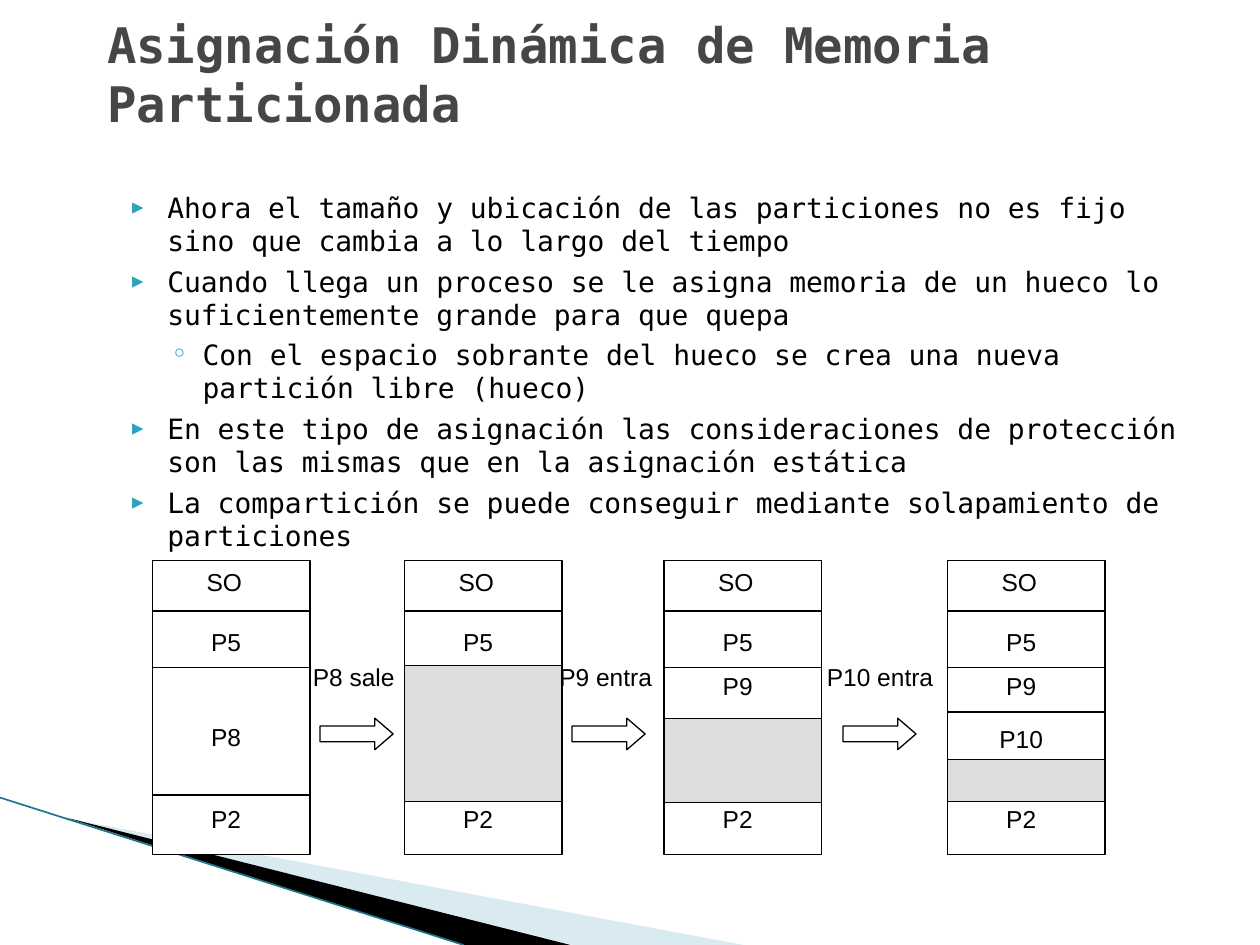
"""Build a slide on dynamic partitioned memory allocation."""
from dataclasses import dataclass
from typing import Any

from lxml.etree import SubElement as Sub
from pptx import Presentation
from pptx.dml.color import RGBColor
from pptx.enum.shapes import MSO_CONNECTOR as Link, MSO_SHAPE as Kind
from pptx.enum.text import MSO_ANCHOR as Anchor, MSO_AUTO_SIZE as Fit, PP_ALIGN as Align
from pptx.oxml.ns import qn
from pptx.util import Inches, Pt

BLACK = RGBColor(0x00, 0x00, 0x00)
WHITE = RGBColor(0xFF, 0xFF, 0xFF)
GREY = RGBColor(0xDD, 0xDD, 0xDD)
DARK = RGBColor(0x46, 0x46, 0x46)
TEAL = RGBColor(0x2D, 0xA2, 0xBF)
DEEP = RGBColor(0x1F, 0x76, 0x8C)
PALE = RGBColor(0xA0, 0xCB, 0xDC)
MONO, SANS = "DejaVu Sans Mono", "Arial"
TOP, WIDE, HIGH = 4.45, 1.25, 2.33


@dataclass
class Point:
    text: str
    level: int = 0


@dataclass
class Bullet:
    char: str
    left: float
    hang: float
    size: int
    before: float


@dataclass
class Memory:
    left: float
    cuts: list[float]
    jobs: dict[str, float]
    hole: tuple[float, float] | None = None


@dataclass
class Step:
    left: float
    text: str


BULLETS = [Bullet("▶", 0.4, 0.28, 68, 4), Bullet("◦", 0.68, 0.25, 100, 3.2)]
POINTS = [
    Point("Ahora el tamaño y ubicación de las particiones no es fijo sino que cambia a lo largo del tiempo"),
    Point("Cuando llega un proceso se le asigna memoria de un hueco lo suficientemente grande para que quepa"),
    Point("Con el espacio sobrante del hueco se crea una nueva partición libre (hueco)", 1),
    Point("En este tipo de asignación las consideraciones de protección son las mismas que en la asignación estática"),
    Point("La compartición se puede conseguir mediante solapamiento de particiones"),
]
BASE = {"P5": 4.93, "P2": 6.33}
STATES = [
    Memory(1.21, [4.85, 5.3, 6.31], BASE | {"P8": 5.68}),
    Memory(3.21, [4.85], BASE, (5.28, 1.08)),
    Memory(5.27, [4.85, 5.3], BASE | {"P9": 5.28}, (5.7, 0.67)),
    Memory(7.52, [4.85, 5.3, 5.65], BASE | {"P9": 5.28, "P10": 5.7}, (6.03, 0.33)),
]
STEPS = [Step(2.25, "P8 sale "), Step(4.25, "P9 entra "), Step(6.4, "P10 entra")]


def style(item: Any, **vals: Any) -> None:
    """Set each given attribute on the item."""
    for name, val in vals.items():
        setattr(item, name, val)


def write(para: Any, text: str, face: str, size: float, color: RGBColor, bold: bool = False) -> None:
    """Add one formatted run to a paragraph."""
    run = para.add_run()
    run.text = text
    style(run.font, name=face, size=Pt(size), bold=bold)
    run.font.color.rgb = color


def label(shapes: Any, text: str, left: float, top: float, width: float = 1.17, wrap: bool = True) -> None:
    """Add a centred label."""
    frame = shapes.add_textbox(*map(Inches, (left, top, width, 0.33))).text_frame
    style(frame, word_wrap=wrap, vertical_anchor=Anchor.MIDDLE, auto_size=Fit.SHAPE_TO_FIT_TEXT)
    para = frame.paragraphs[0]
    para.alignment = Align.CENTER
    write(para, text, SANS, 14, BLACK)


def block(shapes: Any, kind: Kind, spot: tuple[float, ...], fill: RGBColor) -> Any:
    """Add an outlined preset shape."""
    shape = shapes.add_shape(kind, *map(Inches, spot))
    shape.shadow.inherit = False
    shape.fill.solid()
    shape.fill.fore_color.rgb = fill
    shape.line.color.rgb = BLACK
    shape.line.width = Pt(0.75)
    return shape


def rule(shapes: Any, start: tuple[float, float], end: tuple[float, float],
         color: RGBColor = BLACK, width: float = 0.75) -> None:
    """Add a straight line."""
    line = shapes.add_connector(Link.STRAIGHT, *map(Inches, start + end))
    line.line.color.rgb = color
    line.line.width = Pt(width)
    Sub(line._element.spPr, qn("a:effectLst"))


def wedge(shapes: Any, spots: list[tuple[float, float]], fill: RGBColor, alpha: int = 100) -> None:
    """Add a filled polygon without an outline."""
    dots = [(Inches(x), Inches(y)) for x, y in spots]
    pen = shapes.build_freeform(*dots[0], scale=1.0)
    pen.add_line_segments(dots[1:], close=True)
    shape = pen.convert_to_shape()
    shape.shadow.inherit = False
    shape.fill.solid()
    shape.fill.fore_color.rgb = fill
    shape.line.fill.background()
    if alpha < 100:
        tone = shape._element.spPr.find(qn("a:solidFill"))[0]
        Sub(tone, qn("a:alpha"), val=str(alpha * 1000))


def points(shapes: Any) -> None:
    """Add the bulleted text."""
    frame = shapes.add_textbox(*map(Inches, (0.83, 1.46, 8.76, 2.85))).text_frame
    frame.word_wrap = True
    for num, point in enumerate(POINTS):
        para = frame.add_paragraph() if num else frame.paragraphs[0]
        mark = BULLETS[point.level]
        props = para._p.get_or_add_pPr()
        props.set("marL", str(Inches(mark.left)))
        props.set("indent", str(-Inches(mark.hang)))
        Sub(Sub(props, qn("a:buClr")), qn("a:srgbClr"), val=str(TEAL))
        Sub(props, qn("a:buSzPct"), val=str(mark.size * 1000))
        Sub(props, qn("a:buFont"), typeface=MONO)
        Sub(props, qn("a:buChar"), char=mark.char)
        style(para, level=point.level, space_before=Pt(mark.before if num else 0))
        write(para, point.text, MONO, 16, BLACK)


def memory(shapes: Any, state: Memory) -> None:
    """Add one memory map as a group."""
    parts = shapes.add_group_shape().shapes
    left = state.left
    block(parts, Kind.RECTANGLE, (left, TOP, WIDE, HIGH), WHITE)
    for cut in state.cuts:
        rule(parts, (left, cut), (left + WIDE, cut))
    if state.hole:
        top, high = state.hole
        block(parts, Kind.RECTANGLE, (left, top, WIDE, high), GREY)
    label(parts, "SO", left + 0.33, TOP, 0.48, False)
    for job, top in state.jobs.items():
        label(parts, job, left, top)


def step(shapes: Any, move: Step) -> None:
    """Add an arrow and its caption."""
    arrow = block(shapes, Kind.RIGHT_ARROW, (move.left + 0.29, 5.7, 0.58, 0.25), WHITE)
    arrow.adjustments[1] = 0.58
    label(shapes, move.text, move.left, 5.21)


def main() -> None:
    """Build and save the slide."""
    deck = Presentation()
    style(deck, slide_width=Inches(10), slide_height=Inches(7.5))
    slide = deck.slides.add_slide(deck.slide_layouts[5])
    shapes = slide.shapes
    wedge(shapes, [(0.55, 6.5), (5.9, 7.5), (4.55, 7.5)], PALE, 40)
    wedge(shapes, [(0.53, 6.49), (4.53, 7.5), (3.68, 7.5)], BLACK)
    rule(shapes, (0, 6.33), (3.68, 7.5), DEEP, 0.95)
    title = shapes.title
    style(title, left=Inches(0.75), top=Inches(0.25), width=Inches(9.25), height=Inches(0.67))
    style(title.text_frame, word_wrap=True, auto_size=Fit.NONE, vertical_anchor=Anchor.MIDDLE)
    para = title.text_frame.paragraphs[0]
    para.alignment = Align.LEFT
    write(para, "Asignación Dinámica de Memoria Particionada", MONO, 28, DARK, True)
    points(shapes)
    for state in STATES:
        memory(shapes, state)
    for move in STEPS:
        step(shapes, move)
    deck.save("out.pptx")


if __name__ == "__main__":
    main()
